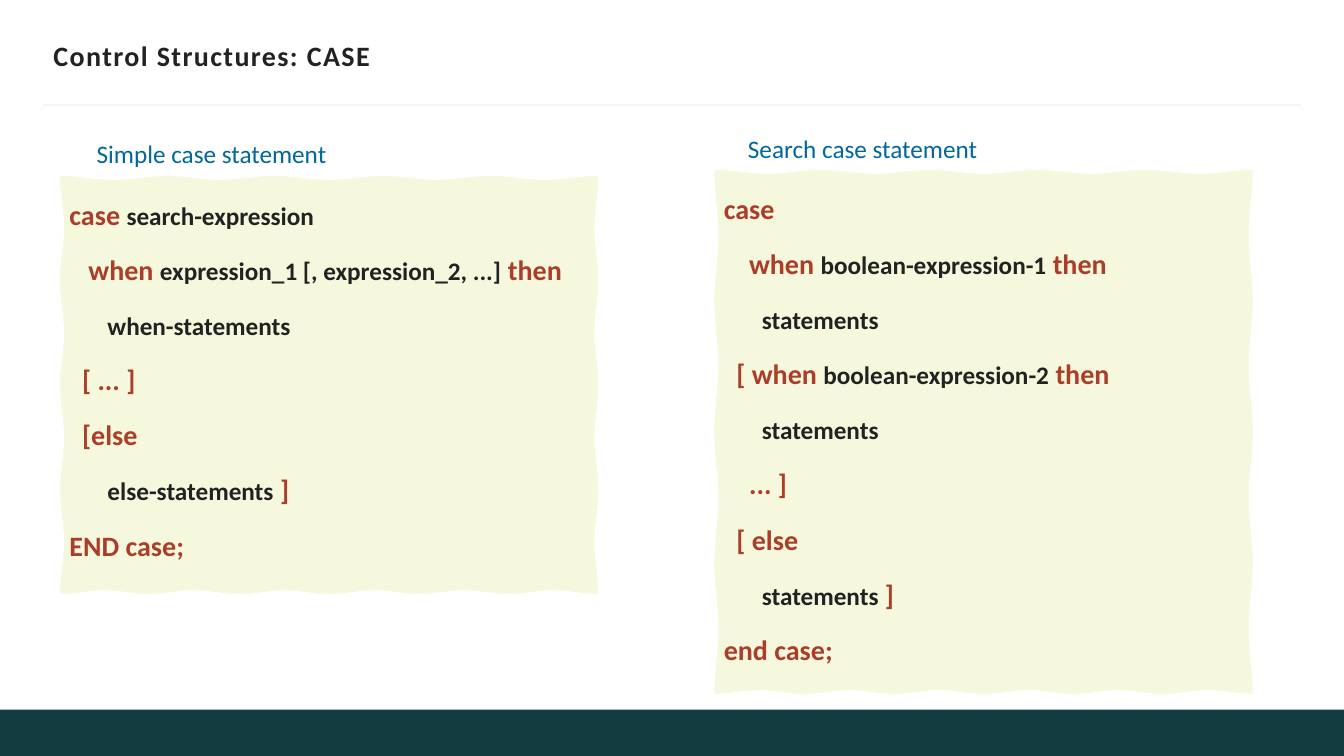
from math import pi, sin

from lxml.etree import SubElement
from pptx import Presentation
from pptx.dml.color import RGBColor
from pptx.enum.shapes import MSO_CONNECTOR, MSO_SHAPE
from pptx.enum.text import MSO_ANCHOR, PP_ALIGN
from pptx.oxml.ns import qn
from pptx.util import Inches, Pt

WHITE = RGBColor(0xFF, 0xFF, 0xFF)
TEAL = RGBColor(0x13, 0x3C, 0x41)
RULE_GRAY = RGBColor(0xF5, 0xF5, 0xF5)
PAPER = RGBColor(0xF5, 0xF8, 0xDD)
INK = RGBColor(0x22, 0x22, 0x22)
KEYWORD_RED = RGBColor(0xAB, 0x3D, 0x29)
HEADING_BLUE = RGBColor(0x00, 0x68, 0x9B)

SIMPLE_CASE = [
    ("case ", "search-expression"),
    ("   when ", "expression_1 [, expression_2, ...]", " then"),
    ("      ", "when-statements"),
    ("  [ ... ]",),
    ("  [else",),
    ("      ", "else-statements", " ]"),
    ("END case;",),
]
SEARCH_CASE = [
    ("case",),
    ("    when ", "boolean-expression-1", " then"),
    ("      ", "statements"),
    ("  [ when ", "boolean-expression-2", " then"),
    ("      ", "statements"),
    ("    ... ]",),
    ("  [ else",),
    ("      ", "statements", " ]"),
    ("end case;",),
]


def torn_outline(left, top, width, height, depth=0.04, steps=48):
    right, bottom = left + width, top + height
    edges = [
        ((left, top), (right, top), (0, 1), 5),
        ((right, top), (right, bottom), (-1, 0), 4),
        ((right, bottom), (left, bottom), (0, -1), 6),
        ((left, bottom), (left, top), (1, 0), 4),
    ]
    points = []
    for (x1, y1), (x2, y2), (inward_x, inward_y), waves in edges:
        for step in range(steps):
            part = step / steps
            dent = depth * sin(pi * waves * part) ** 2
            points.append((
                Inches(x1 + (x2 - x1) * part + inward_x * dent),
                Inches(y1 + (y2 - y1) * part + inward_y * dent),
            ))
    return points


class SlideBuilder:
    font_name = "Calibri"

    def __init__(self, slide):
        self.shapes = slide.shapes

    def style(self, span, size, color, bold=False):
        span.font.name = self.font_name
        span.font.size = Pt(size)
        span.font.bold = bold
        span.font.color.rgb = color

    def band(self, left, top, width, height, color):
        box = self.shapes.add_shape(
            MSO_SHAPE.RECTANGLE, Inches(left), Inches(top), Inches(width), Inches(height))
        box.shadow.inherit = False
        box.fill.solid()
        box.fill.fore_color.rgb = color
        box.line.fill.background()

    def rule(self, left, right, y, color, weight):
        line = self.shapes.add_connector(
            MSO_CONNECTOR.STRAIGHT, Inches(left), Inches(y), Inches(right), Inches(y))
        line.line.color.rgb = color
        line.line.width = Pt(weight)
        SubElement(line._element.spPr, qn("a:effectLst"))

    def label(self, text, left, top, width, height, size, color, bold=False):
        box = self.shapes.add_textbox(
            Inches(left), Inches(top), Inches(width), Inches(height))
        box.text_frame.word_wrap = False
        box.text_frame.text = text
        self.style(box.text_frame.paragraphs[0].runs[0], size, color, bold)
        return box

    def title(self, text, left, top, width, height):
        frame = self.label(text, left, top, width, height, 20, INK, True).text_frame
        frame.word_wrap = True
        frame.vertical_anchor = MSO_ANCHOR.MIDDLE
        frame.margin_left = frame.margin_right = 0
        span = frame.paragraphs[0].runs[0]
        span._r.get_or_add_rPr().set("spc", "100")

    def code_sheet(self, lines, left, top, width, height):
        start, *others = torn_outline(left, top, width, height)
        outline = self.shapes.build_freeform(*start)
        outline.add_line_segments(others, close=True)
        sheet = outline.convert_to_shape()
        sheet.shadow.inherit = False
        sheet.fill.solid()
        sheet.fill.fore_color.rgb = PAPER
        sheet.line.color.rgb = WHITE
        sheet.line.width = Pt(0.75)
        frame = sheet.text_frame
        frame.word_wrap = True
        frame.vertical_anchor = MSO_ANCHOR.TOP
        for number, parts in enumerate(lines):
            para = frame.add_paragraph() if number else frame.paragraphs[0]
            para.alignment = PP_ALIGN.LEFT
            para.line_spacing = 1.5
            para.space_before = Pt(3.4 if number else 0)
            for position, text in enumerate(parts):
                span = para.add_run()
                span.text = text
                if position % 2:
                    self.style(span, 18, INK, True)
                else:
                    self.style(span, 20, KEYWORD_RED, True)


def main():
    deck = Presentation()
    deck.slide_width = Inches(13.33)
    deck.slide_height = Inches(7.5)
    page = SlideBuilder(deck.slides.add_slide(deck.slide_layouts[6]))

    page.band(0, 7.04, 13.33, 0.46, TEAL)
    page.rule(0.43, 12.9, 1.04, RULE_GRAY, 1.5)
    page.title("Control Structures: CASE", 0.53, 0.33, 12.29, 0.44)
    page.code_sheet(SIMPLE_CASE, 0.59, 1.74, 5.35, 4.16)
    page.code_sheet(SEARCH_CASE, 7.08, 1.68, 5.35, 5.21)
    page.label("Simple case statement", 0.86, 1.32, 2.51, 0.4, 18, HEADING_BLUE)
    page.label("Search case statement", 7.32, 1.27, 2.5, 0.4, 18, HEADING_BLUE)

    deck.save("out.pptx")


if __name__ == "__main__":
    main()
